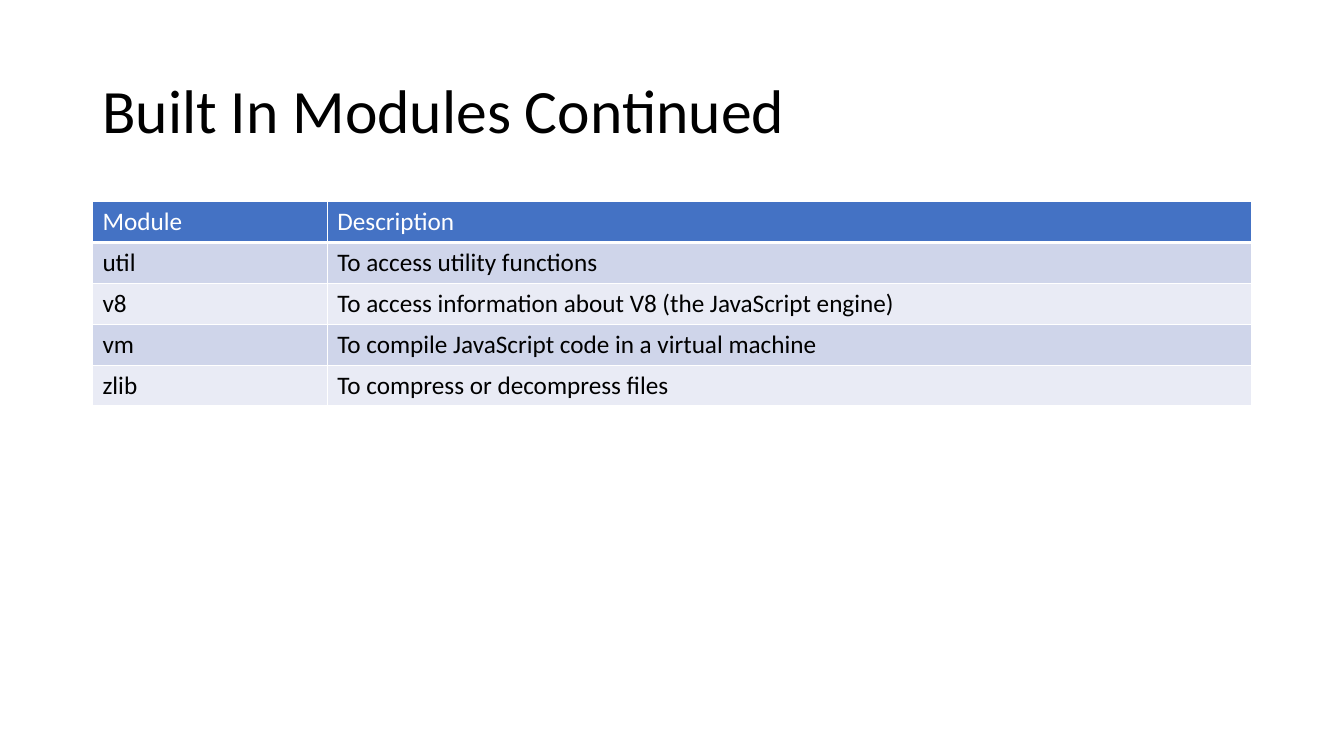
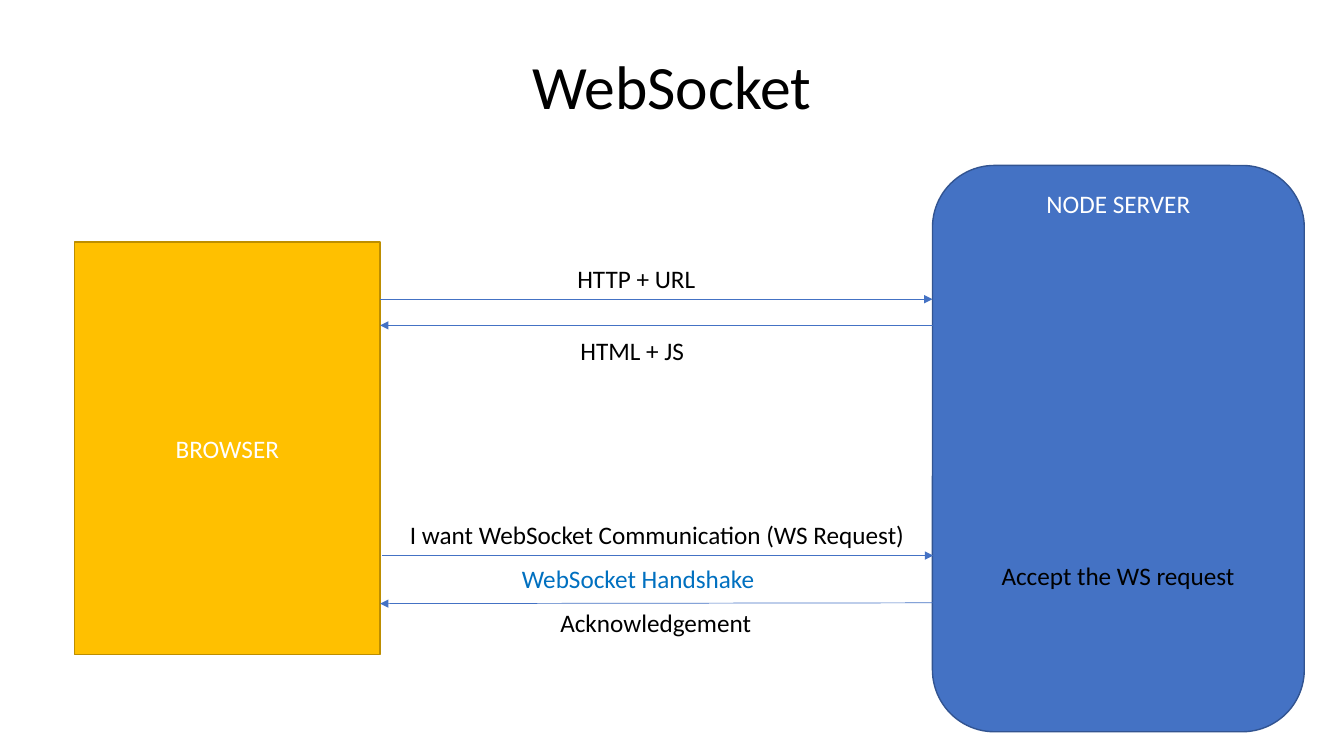
from pptx import Presentation
from pptx.dml.color import RGBColor
from pptx.enum.shapes import MSO_CONNECTOR as Link, MSO_SHAPE as Form
from pptx.enum.text import MSO_ANCHOR as Anchor, MSO_AUTO_SIZE as Fit, PP_ALIGN as Align
from pptx.oxml import parse_xml
from pptx.oxml.ns import nsdecls
from pptx.util import Cm, Pt

FONT = "Calibri"
BLACK, WHITE = "000000", "FFFFFF"
BLUE, NAVY, SKY = "4472C4", "325491", "0070C0"
GOLD, BROWN = "FFC000", "BD8E00"
BANDS = ["CFD5EA", "E9EBF5"]

MODULES = [
    ("Module", "Description"),
    ("util", "To access utility functions"),
    ("v8", "To access information about V8 (the JavaScript engine)"),
    ("vm", "To compile JavaScript code in a virtual machine"),
    ("zlib", "To compress or decompress files"),
]
COLS = [5.92, 23.29]
ROW = 1.03

# Text, form, box (left, top, width, height), fill, line, anchor
NODES = [
    ("NODE SERVER", Form.ROUNDED_RECTANGLE, (23.5, 4.17, 9.37, 14.27), BLUE, NAVY, Anchor.TOP),
    ("BROWSER", Form.RECTANGLE, (1.88, 6.1, 7.7, 10.39), GOLD, BROWN, Anchor.MIDDLE),
]
# Start x, start y, end x, end y
ARROWS = [
    (9.58, 7.54, 23.5, 7.54),
    (23.5, 8.2, 9.58, 8.2),
    (9.63, 14, 23.52, 14),
    (23.52, 15.19, 9.58, 15.21),
]
# Text, left, top, width, colour
LABELS = [
    ("HTTP + URL", 14.3, 6.5, 3.53, BLACK),
    ("HTML + JS", 14.38, 8.33, 3.15, BLACK),
    ("I want WebSocket Communication (WS Request)", 10.08, 12.95, 13.08, BLACK),
    ("WebSocket Handshake", 12.9, 14.07, 6.43, SKY),
    ("Acknowledgement", 13.87, 15.19, 5.38, BLACK),
    ("Accept the WS request", 24.99, 14, 6.45, BLACK),
]


def rgb(code):
    return RGBColor.from_string(code)


def cms(*sizes):
    return [Cm(size) for size in sizes]


def write(frame, text, color, size=18, align=Align.LEFT):
    para = frame.paragraphs[0]
    para.alignment = align
    run = para.add_run()
    run.text = text
    font = run.font
    font.name, font.size, font.bold = FONT, Pt(size), False
    font.color.rgb = rgb(color)
    return para


def add_title(slide, text, height, align=Align.LEFT):
    frame = slide.shapes.add_textbox(*cms(2.33, 1.02, 29.21, height)).text_frame
    frame.word_wrap = True
    frame.vertical_anchor = Anchor.MIDDLE
    write(frame, text, BLACK, 44, align).line_spacing = 0.9


def add_edges(cell, base):
    """Draw white cell borders; base is the bottom width in points."""
    props = cell._tc.get_or_add_tcPr()
    for side, width in zip("LRTB", (1, 1, 1, base)):
        props.append(parse_xml(
            f'<a:ln{side} {nsdecls("a")} w="{Pt(width)}"><a:solidFill>'
            f'<a:srgbClr val="{WHITE}"/></a:solidFill></a:ln{side}>'))


def add_grid(slide, rows):
    box = cms(2.33, 5.08, sum(COLS), ROW * len(rows))
    table = slide.shapes.add_table(len(rows), len(COLS), *box).table
    for col, width in zip(table.columns, COLS):
        col.width = Cm(width)
    for i, row in enumerate(rows):
        table.rows[i].height = Cm(ROW)
        head = i == 0
        for j, text in enumerate(row):
            cell = table.cell(i, j)
            add_edges(cell, 3 if head else 1)
            cell.fill.solid()
            cell.fill.fore_color.rgb = rgb(BLUE if head else BANDS[(i - 1) % 2])
            write(cell.text_frame, text, WHITE if head else BLACK)


def add_node(slide, text, form, box, fill, line, anchor):
    shape = slide.shapes.add_shape(form, *cms(*box))
    shape.shadow.inherit = False
    shape.fill.solid()
    shape.fill.fore_color.rgb = rgb(fill)
    shape.line.color.rgb = rgb(line)
    shape.line.width = Pt(1)
    shape.text_frame.vertical_anchor = anchor
    write(shape.text_frame, text, WHITE, align=Align.CENTER)


def add_arrow(slide, ends):
    arrow = slide.shapes.add_connector(Link.STRAIGHT, *cms(*ends))
    arrow.line.color.rgb = rgb(BLUE)
    arrow.line.width = Pt(0.5)
    arrow.line._get_or_add_ln().append(
        parse_xml(f'<a:tailEnd {nsdecls("a")} type="triangle"/>'))
    arrow._element.spPr.append(parse_xml(f'<a:effectLst {nsdecls("a")}/>'))


def add_label(slide, text, left, top, width, color):
    frame = slide.shapes.add_textbox(*cms(left, top, width, 1.02)).text_frame
    frame.word_wrap = False
    frame.auto_size = Fit.SHAPE_TO_FIT_TEXT
    write(frame, text, color)


def main():
    deck = Presentation()
    deck.slide_width, deck.slide_height = cms(33.87, 19.05)
    blank = deck.slide_layouts[6]

    slide = deck.slides.add_slide(blank)
    add_title(slide, "Built In Modules Continued", 3.68)
    add_grid(slide, MODULES)

    slide = deck.slides.add_slide(blank)
    for node in NODES:
        add_node(slide, *node)
    for ends in ARROWS:
        add_arrow(slide, ends)
    for label in LABELS:
        add_label(slide, *label)
    add_title(slide, "WebSocket", 2.46, Align.CENTER)

    deck.save("out.pptx")


if __name__ == "__main__":
    main()
